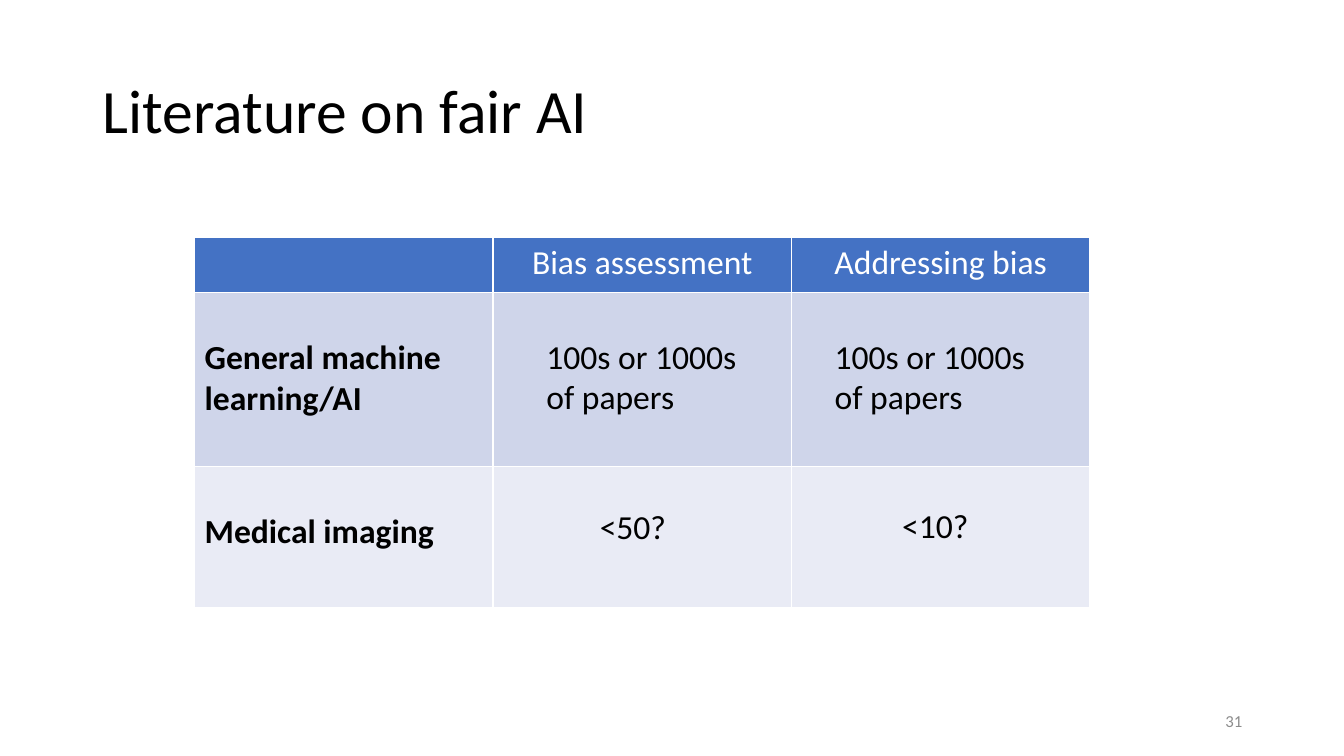
from lxml import etree
from pptx import Presentation
from pptx import util as u
from pptx.dml.color import RGBColor
from pptx.enum import text
from pptx.oxml import ns


def paint(font, size, color, bold=False):
    font.name = "Calibri"
    font.size = u.Pt(size)
    font.bold = bold
    font.color.rgb = RGBColor.from_string(color)


def add_text(s, box, lines, size=24, color="000000"):
    tf = s.shapes.add_textbox(*[u.Inches(v) for v in box]).text_frame
    tf.word_wrap = True
    tf.text = "\n".join(lines)
    for p in tf.paragraphs:
        paint(p.runs[0].font, size, color)
    return tf


prs = Presentation()
prs.slide_width, prs.slide_height = u.Inches(13.33), u.Inches(7.5)
s = prs.slides.add_slide(prs.slide_layouts[5])

title = s.shapes.title
title.left, title.top = u.Inches(0.92), u.Inches(0.4)
title.width, title.height = u.Inches(11.5), u.Inches(1.45)
tf = title.text_frame
tf.text = "Literature on fair AI"
tf.vertical_anchor = text.MSO_ANCHOR.MIDDLE
p = tf.paragraphs[0]
p.alignment = text.PP_ALIGN.LEFT
p.line_spacing = 0.9
paint(p.runs[0].font, 44, "000000")

rows = [
    (0.54, "4472C4", ["", "Bias assessment", "Addressing bias"]),
    (1.73, "CFD5EA", ["General machine learning/AI", "", ""]),
    (1.4, "E9EBF5", ["Medical imaging", "", ""]),
]
col_width = 2.96
height = sum(row[0] for row in rows)
table = s.shapes.add_table(3, 3, u.Inches(1.93), u.Inches(2.36),
                           u.Inches(3 * col_width), u.Inches(height)).table
for col in table.columns:
    col.width = u.Inches(col_width)
for i, (row_height, fill, labels) in enumerate(rows):
    table.rows[i].height = u.Inches(row_height)
    for j, label in enumerate(labels):
        cell = table.cell(i, j)
        for side in ("a:lnL", "a:lnR", "a:lnT", "a:lnB"):
            ln = etree.SubElement(cell._tc.get_or_add_tcPr(), ns.qn(side), w="12700")
            solid = etree.SubElement(ln, ns.qn("a:solidFill"))
            etree.SubElement(solid, ns.qn("a:srgbClr"), val="FFFFFF")
        cell.fill.solid()
        cell.fill.fore_color.rgb = RGBColor.from_string(fill)
        if label:
            cell.text_frame.text = label
            p = cell.text_frame.paragraphs[0]
            if i == 0:
                p.alignment = text.PP_ALIGN.CENTER
                paint(p.runs[0].font, 24, "FFFFFF")
            else:
                cell.margin_top = u.Inches(0.45)
                paint(p.runs[0].font, 24, "000000", True)

tf = add_text(s, (5.32, 3.28, 5.4, 0.91),
              ["100s or 1000s\t100s or 1000s", "of papers\tof papers"])
for p in tf.paragraphs:
    tabs = etree.Element(ns.qn("a:tabLst"))
    etree.SubElement(tabs, ns.qn("a:tab"), pos=str(u.Inches(2.86)), algn="l")
    p._p.get_or_add_pPr().insert(0, tabs)

add_text(s, (5.85, 4.97, 1.42, 0.5), ["<50?"])
add_text(s, (8.85, 4.96, 1.42, 0.5), ["<10?"])

tf = add_text(s, (9.42, 6.95, 3, 0.4), ["31"], 12, "8C8C8C")
tf.vertical_anchor = text.MSO_ANCHOR.MIDDLE
tf.paragraphs[0].alignment = text.PP_ALIGN.RIGHT

prs.save("out.pptx")
